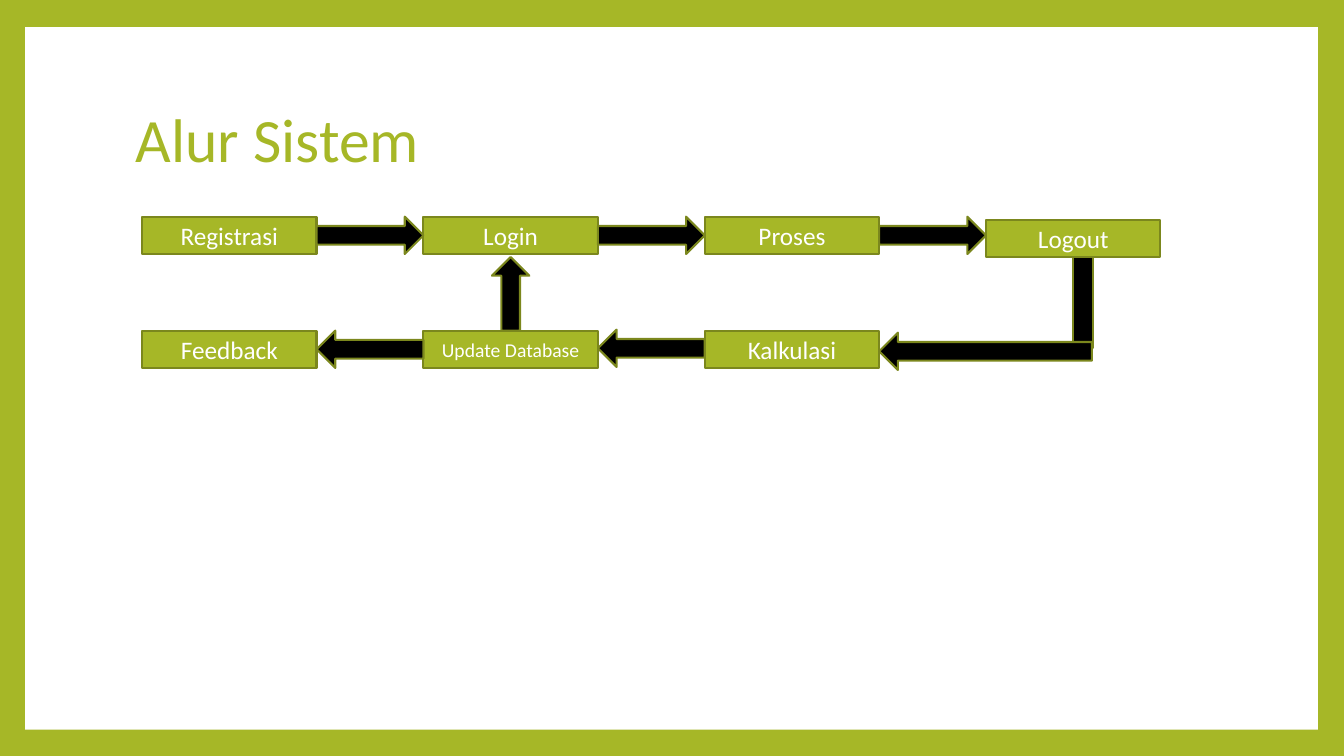
from pptx import Presentation
from pptx import util as u
from pptx.dml.color import RGBColor
from pptx.enum import shapes, text

WIDTH, HEIGHT = 13.33, 7.5
LEFT, TOP = 1.41, 2.15          # corner of the first grid cell
COLUMN, ROW = 2.79, 1.13        # distance from cell to cell
BOX_WIDTH, BOX_HEIGHT = 1.73, 0.37
GAP = COLUMN - BOX_WIDTH
RECTANGLE = shapes.MSO_SHAPE.RECTANGLE
ARROW = shapes.MSO_SHAPE.RIGHT_ARROW


def color(value):
    return RGBColor.from_string(value)


class FlowSlide:
    GREEN, EDGE, BLACK, WHITE = "A6B727", "7B871D", "000000", "FFFFFF"
    FONT = "Calibri"

    def __init__(self, presentation):
        self.slide = presentation.slides.add_slide(presentation.slide_layouts[6])
        background = self.slide.background.fill
        background.solid()
        background.fore_color.rgb = color(self.GREEN)

    def shape(self, kind, left, top, width, height, fill, line=None, rotation=0):
        shape = self.slide.shapes.add_shape(
            kind, *(u.Inches(length) for length in (left, top, width, height)))
        shape.shadow.inherit = False
        shape.rotation = rotation
        shape.fill.solid()
        shape.fill.fore_color.rgb = color(fill)
        if line:
            shape.line.color.rgb = color(line)
            shape.line.width = u.Pt(1.5)
        else:
            shape.line.fill.background()
        return shape

    def label(self, shape, words, size, ink, **paragraph_format):
        frame = shape.text_frame
        frame.word_wrap = True
        frame.vertical_anchor = text.MSO_ANCHOR.MIDDLE
        paragraph = frame.paragraphs[0]
        for name, value in paragraph_format.items():
            setattr(paragraph, name, value)
        run = paragraph.add_run()
        run.text = words
        for name, value in {"name": self.FONT, "size": u.Pt(size)}.items():
            setattr(run.font, name, value)
        run.font.color.rgb = color(ink)

    def panel(self):
        self.shape(RECTANGLE, 0.25, 0.27, WIDTH - 0.51, HEIGHT - 0.53, self.WHITE)

    def title(self, words):
        box = self.slide.shapes.add_textbox(
            u.Inches(1.25), u.Inches(0.67), u.Inches(10.8), u.Inches(1.48))
        self.label(box, words, 44, self.GREEN, line_spacing=0.9)

    def step(self, words, column, row, size=18, shift=0):
        box = self.shape(RECTANGLE, LEFT + column * COLUMN, TOP + row * ROW + shift,
                         BOX_WIDTH, BOX_HEIGHT, self.GREEN, self.EDGE)
        self.label(box, words, size, self.WHITE, alignment=text.PP_ALIGN.CENTER)

    def arrow(self, column, row, rotation=0, length=GAP, shift=0):
        """Arrow that starts at the right side of the box in the given cell."""
        self.shape(ARROW, LEFT + column * COLUMN + BOX_WIDTH, TOP + row * ROW + shift,
                   length, BOX_HEIGHT, self.BLACK, self.EDGE, rotation)

    def arrow_up(self, column, length):
        """Arrow from the lower row to the upper one, centred on a column."""
        center = LEFT + column * COLUMN + BOX_WIDTH / 2
        self.shape(ARROW, center - length / 2, TOP + ROW - (length + BOX_HEIGHT) / 2,
                   length, BOX_HEIGHT, self.BLACK, self.EDGE, 270)

    def stem(self, column, top, width, height):
        center = LEFT + column * COLUMN + BOX_WIDTH / 2
        self.shape(RECTANGLE, center, top, width, height, self.BLACK, self.EDGE)


def main():
    presentation = Presentation()
    presentation.slide_width = u.Inches(WIDTH)
    presentation.slide_height = u.Inches(HEIGHT)

    flow = FlowSlide(presentation)
    flow.panel()
    flow.title("Alur Sistem")

    for column, words in enumerate(("Registrasi", "Login", "Proses")):
        flow.step(words, column, 0)
    flow.step("Logout", 3, 0, shift=0.03)
    flow.step("Kalkulasi", 2, 1)
    flow.step("Update Database", 1, 1, size=14)
    flow.step("Feedback", 0, 1)

    for column in range(3):
        flow.arrow(column, 0)
    flow.arrow_up(1, 0.73)
    flow.arrow(1, 1, rotation=180, shift=-0.01)
    flow.arrow(0, 1, rotation=180)
    flow.stem(3, TOP + BOX_HEIGHT + 0.03, 0.2, 0.9)
    flow.arrow(2, 1, rotation=180, length=2.11, shift=0.02)

    presentation.save("out.pptx")


if __name__ == "__main__":
    main()
